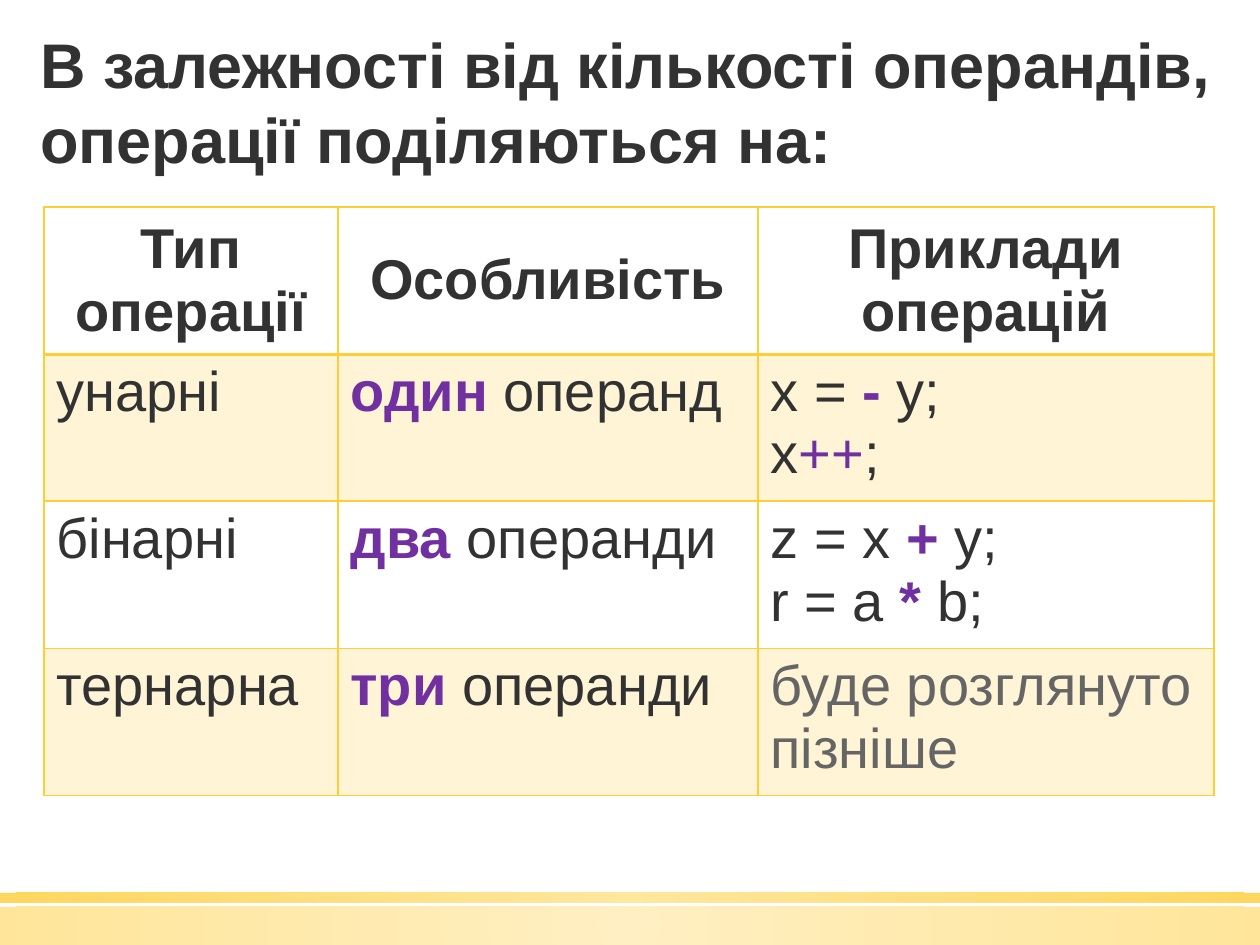
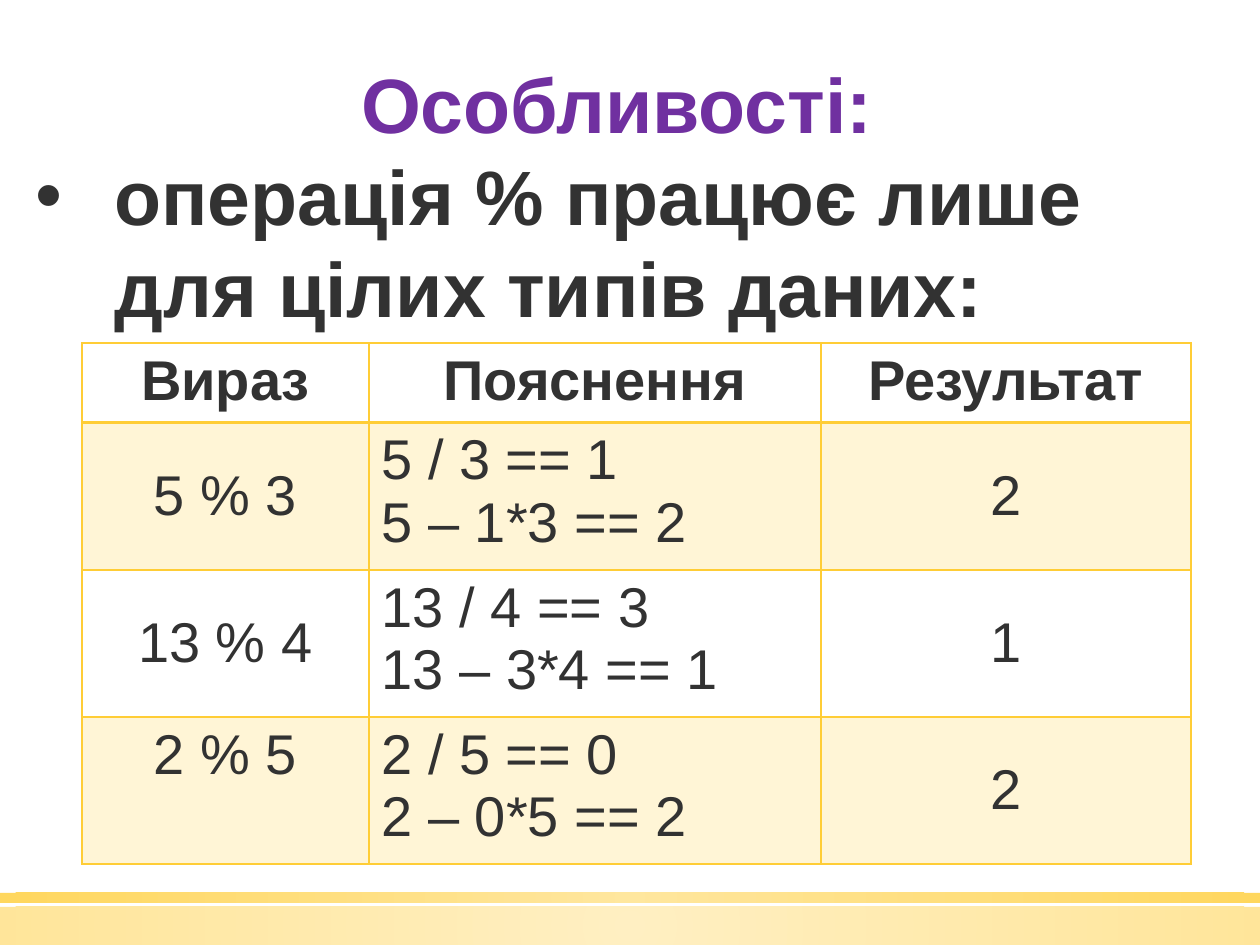
from dataclasses import dataclass
from typing import Any

from lxml.etree import SubElement
from pptx import Presentation
from pptx.dml.color import RGBColor
from pptx.enum.shapes import MSO_SHAPE
from pptx.enum.text import MSO_ANCHOR, PP_ALIGN
from pptx.oxml import parse_xml
from pptx.oxml.ns import nsdecls, qn
from pptx.util import Emu, Pt

INK = RGBColor(0x32, 0x32, 0x32)
PURPLE = RGBColor(0x70, 0x30, 0xA0)
GREY = RGBColor(0x65, 0x65, 0x65)
GOLD = RGBColor(0xFF, 0xCD, 0x36)
PALE = RGBColor(0xFF, 0xE1, 0x86)
WHITE = RGBColor(0xFF, 0xFF, 0xFF)
SCALE = 914400 / 126
FACE = "Arial"


@dataclass
class Run:
    text: str
    hue: RGBColor = INK
    bold: bool = False


@dataclass
class Line:
    runs: list[Run]
    align: Any = PP_ALIGN.LEFT
    bullet: bool = False


@dataclass
class Cell:
    lines: list[Line]
    mid: bool = False


@dataclass
class Band:
    top: int
    high: int
    alpha: int


@dataclass
class Grid:
    left: int
    top: int
    cols: list[int]
    rows: list[int]
    cells: list[list[Cell]]


BANDS = [Band(907, 38, 50), Band(893, 10, 80)]


def px(n: int) -> Emu:
    return Emu(round(n * SCALE))


def put(thing: Any, vals: dict[str, Any]) -> None:
    for name, val in vals.items():
        setattr(thing, name, val)


def write(frame: Any, lines: list[Line], size: int) -> None:
    for i, line in enumerate(lines):
        para = frame.paragraphs[0] if i == 0 else frame.add_paragraph()
        para.alignment = line.align
        if line.bullet:
            props = para._p.get_or_add_pPr()
            props.set("marL", str(px(79)))
            props.set("indent", str(-px(79)))
            SubElement(props, qn("a:buFont"), typeface=FACE)
            SubElement(props, qn("a:buChar"), char="•")
        for part in line.runs:
            run = para.add_run()
            run.text = part.text
            put(run.font, {"name": FACE, "size": Pt(size), "bold": part.bold})
            run.font.color.rgb = part.hue


def draw_band(slide: Any, band: Band) -> None:
    shape = slide.shapes.add_shape(
        MSO_SHAPE.RECTANGLE, 0, px(band.top), px(1260), px(band.high))
    shape.shadow.inherit = False
    shape.line.fill.background()
    stops = "".join(
        f'<a:gs pos="{pos}"><a:srgbClr val="{hue}">'
        f'<a:alpha val="{band.alpha * 1000}"/></a:srgbClr></a:gs>'
        for pos, hue in ((0, PALE), (100000, GOLD)))
    fill = parse_xml(
        f'<a:gradFill {nsdecls("a")}><a:gsLst>{stops}</a:gsLst>'
        '<a:path path="circle"><a:fillToRect l="50000" t="50000" '
        'r="50000" b="50000"/></a:path></a:gradFill>')
    shape._element.spPr.find(qn("a:prstGeom")).addnext(fill)


def draw_text(slide: Any, box: tuple[int, int, int, int],
              lines: list[Line], size: int) -> None:
    frame = slide.shapes.add_textbox(*map(px, box)).text_frame
    frame.word_wrap = True
    write(frame, lines, size)


def edge(props: Any, side: str, width: int) -> None:
    props.append(parse_xml(
        f'<a:ln{side} {nsdecls("a")} w="{Pt(width)}"><a:solidFill>'
        f'<a:srgbClr val="{GOLD}"/></a:solidFill></a:ln{side}>'))


def draw_grid(slide: Any, grid: Grid) -> None:
    table = slide.shapes.add_table(
        len(grid.rows), len(grid.cols), px(grid.left), px(grid.top),
        px(sum(grid.cols)), px(sum(grid.rows))).table
    for col, wide in zip(table.columns, grid.cols):
        col.width = px(wide)
    for row, high in zip(table.rows, grid.rows):
        row.height = px(high)
    for r, row in enumerate(grid.cells):
        for c, item in enumerate(row):
            cell = table.cell(r, c)
            cell.vertical_anchor = MSO_ANCHOR.MIDDLE if item.mid else MSO_ANCHOR.TOP
            props = cell._tc.get_or_add_tcPr()
            for side in "LRTB":
                head = (r, side) in ((0, "B"), (1, "T"))
                edge(props, side, 2 if head else 1)
            if r % 2:
                cell.fill.solid()
                cell.fill.fore_color.rgb = GOLD
                tint = props.find(qn("a:solidFill")).find(qn("a:srgbClr"))
                SubElement(tint, qn("a:alpha"), val="20000")
            else:
                cell.fill.background()
            write(cell.text_frame, item.lines, 32)


def plain(*texts: str) -> Cell:
    return Cell([Line([Run(text)]) for text in texts])


def mixed(*lines: list[Run]) -> Cell:
    return Cell([Line(runs) for runs in lines])


def centred(text: str, mid: bool = True, bold: bool = False) -> Cell:
    return Cell([Line([Run(text, bold=bold)], PP_ALIGN.CENTER)], mid)


def heads(texts: list[str], mid: bool) -> list[Cell]:
    return [centred(text, mid, True) for text in texts]


def key(text: str) -> Run:
    return Run(text, PURPLE, True)


def start(deck: Any) -> Any:
    slide = deck.slides.add_slide(deck.slide_layouts[6])
    slide.background.fill.solid()
    slide.background.fill.fore_color.rgb = WHITE
    for band in BANDS:
        draw_band(slide, band)
    return slide


def draw_types(deck: Any) -> None:
    slide = start(deck)
    draw_text(slide, (28, 19, 1225, 242), [
        Line([Run("В залежності від кількості операндів, ", bold=True)]),
        Line([Run("операції поділяються на:", bold=True)]),
    ], 36)
    draw_grid(slide, Grid(44, 207, [294, 420, 456], [147] * 4, [
        heads(["Тип операції", "Особливість", "Приклади операцій"], True),
        [plain("унарні"),
         mixed([key("один"), Run(" операнд")]),
         mixed([Run("x = "), key("-"), Run(" y;")],
               [Run("x"), Run("++", PURPLE), Run(";")])],
        [plain("бінарні"),
         mixed([key("два"), Run(" операнди")]),
         mixed([Run("z = x "), key("+"), Run(" y;")],
               [Run("r = a "), key("*"), Run(" b;")])],
        [plain("тернарна"),
         mixed([key("три"), Run(" операнди")]),
         mixed([Run("буде розглянуто пізніше", GREY)])],
    ]))


def draw_modulo(deck: Any) -> None:
    slide = start(deck)
    draw_text(slide, (23, 50, 1188, 292), [
        Line([key("Особливості:")], PP_ALIGN.CENTER),
        Line([Run("операція % працює лише для цілих типів даних:", bold=True)],
             bullet=True),
    ], 44)
    draw_grid(slide, Grid(82, 343, [287, 452, 370], [79] + [147] * 3, [
        heads(["Вираз", "Пояснення", "Результат"], False),
        [centred("5 % 3"), plain("5 / 3 == 1", "5 – 1*3 == 2"), centred("2")],
        [centred("13 % 4"), plain("13 / 4 == 3", "13 – 3*4 == 1"), centred("1")],
        [centred("2 % 5", False), plain("2 / 5 == 0", "2 – 0*5 == 2"),
         centred("2")],
    ]))


deck = Presentation()
put(deck, {"slide_width": px(1260), "slide_height": px(945)})
draw_types(deck)
draw_modulo(deck)
deck.save("out.pptx")
